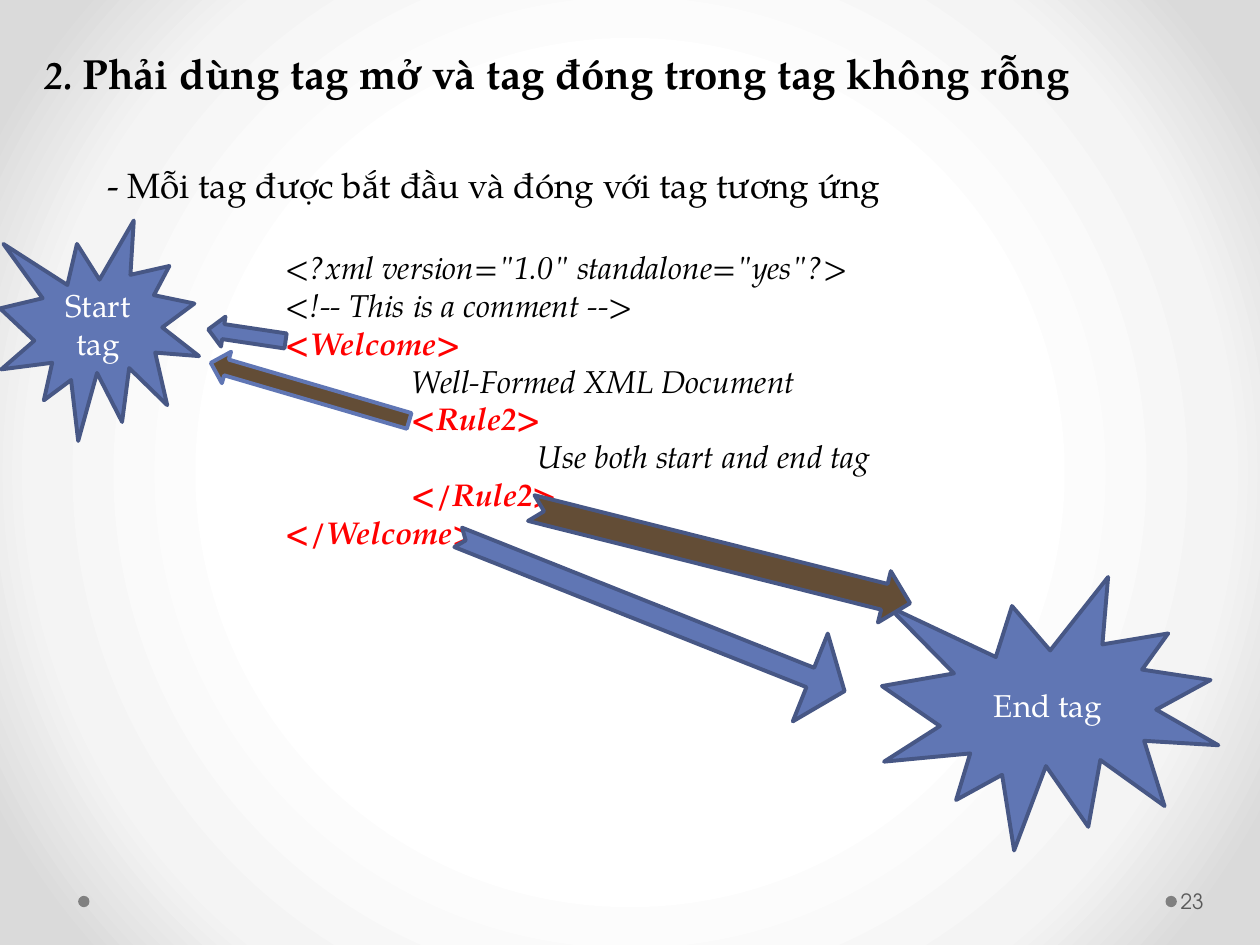
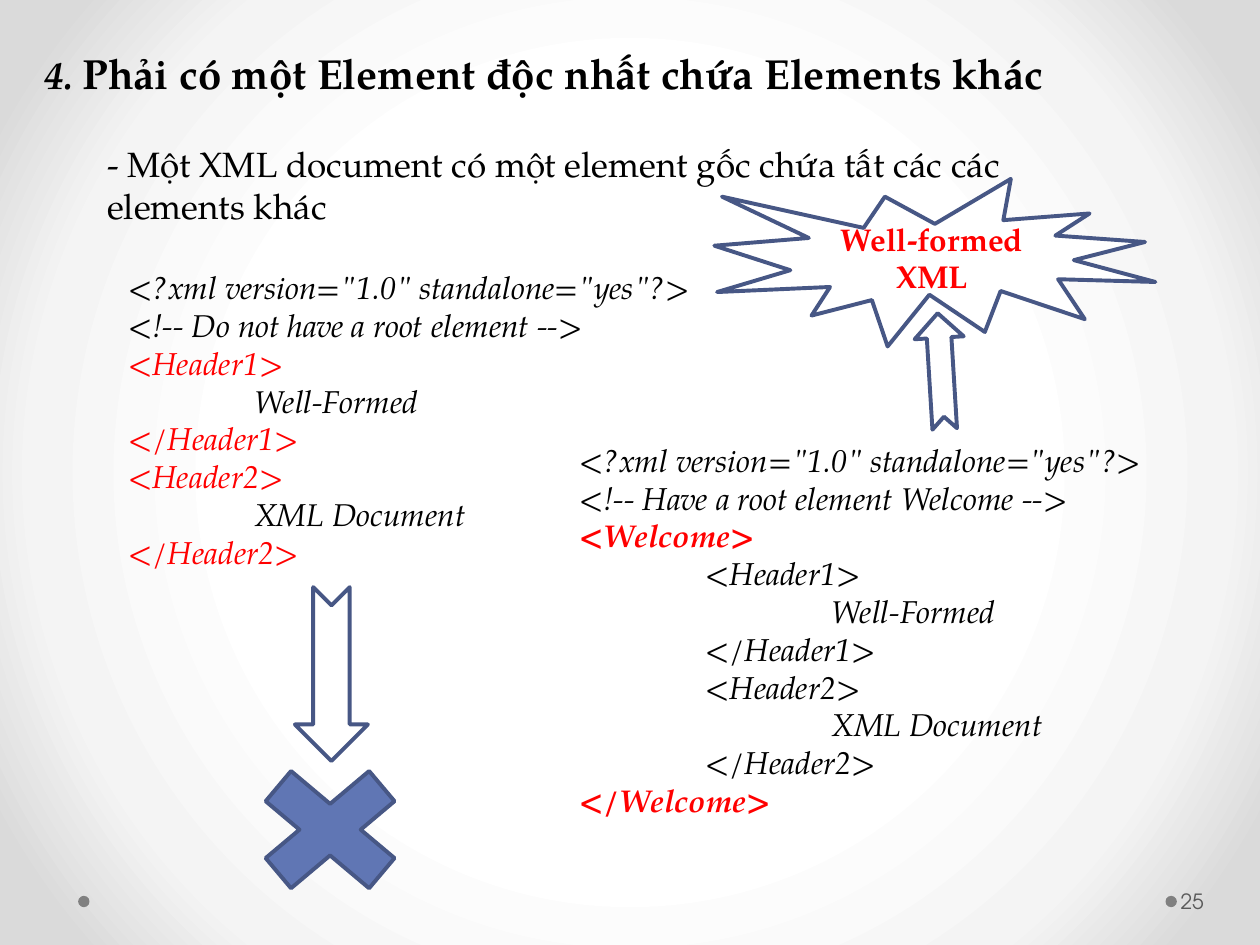
from pptx import Presentation
from pptx import oxml
from pptx.dml.color import RGBColor
from pptx.enum import shapes, text
from pptx.oxml import ns
from pptx.util import Inches, Pt

BLACK = RGBColor(0, 0, 0)
WHITE = RGBColor(255, 255, 255)
RED = RGBColor(255, 0, 0)
BLUE = RGBColor(0x60, 0x76, 0xB4)
NAVY = RGBColor(0x47, 0x57, 0x85)
BROWN = RGBColor(0x63, 0x4D, 0x36)
GRAY = RGBColor(0x80, 0x80, 0x80)
DARK = RGBColor(0x59, 0x59, 0x59)
SERIF = "TeX Gyre Pagella"
SANS = "TeX Gyre Adventor"
KIND = shapes.MSO_SHAPE
STOPS = ((50, "FFFFFF"), (76, "F4F4F4"), (92, "DADADA"))


class Deck:
    def __init__(self):
        self.file = Presentation()
        self.file.slide_width = Inches(10)
        self.file.slide_height = Inches(7.5)
        self.slide = None
        self.glow()

    def glow(self):
        master = self.file.slide_master
        master.background.fill.solid()
        back = master.element.find(".//" + ns.qn("p:bgPr"))
        stops = "".join(
            f'<a:gs pos="{pos * 1000}"><a:srgbClr val="{tone}"/></a:gs>'
            for pos, tone in STOPS)
        grad = oxml.parse_xml(
            f'<a:gradFill {ns.nsdecls("a")} rotWithShape="1">'
            f'<a:gsLst>{stops}</a:gsLst><a:path path="circle">'
            '<a:fillToRect l="50000" t="50000" r="50000" b="50000"/>'
            '</a:path></a:gradFill>')
        back.replace(back[0], grad)

    def font(self, item, size, color=BLACK, bold=False, slant=False, name=SERIF):
        font = item.font
        font.name, font.size = name, Pt(size)
        font.bold, font.italic = bold, slant
        font.color.rgb = color

    def place(self, shape, box):
        shape.left, shape.top, shape.width, shape.height = map(Inches, box)

    def frame(self, shape):
        frame = shape.text_frame
        frame.word_wrap = True
        frame.auto_size = text.MSO_AUTO_SIZE.NONE
        frame.vertical_anchor = text.MSO_ANCHOR.TOP
        return frame

    def box(self, box):
        return self.frame(self.slide.shapes.add_textbox(*map(Inches, box)))

    def page(self, number):
        layout = self.file.slide_layouts[1]
        self.slide = self.file.slides.add_slide(layout)
        for left in (9.25, 0.62):
            self.shape(KIND.OVAL, (left, 7.11, 0.09, 0.09), GRAY, None)
        frame = self.box((9.34, 6.95, 0.61, 0.4))
        frame.margin_left = Inches(0.03)
        frame.margin_right = Inches(0.05)
        frame.vertical_anchor = text.MSO_ANCHOR.MIDDLE
        frame.text = str(number)
        self.font(frame.paragraphs[0], 12, DARK, name=SANS)

    def title(self, mark, words, box):
        shape = self.slide.shapes.title
        self.place(shape, box)
        para = self.frame(shape).paragraphs[0]
        para.alignment = text.PP_ALIGN.LEFT
        for part, size, slant in ((mark, 22, True), (words, 24, False)):
            run = para.add_run()
            run.text = part
            self.font(run, size, bold=True, slant=slant)

    def body(self, words, box):
        shape = self.slide.placeholders[1]
        self.place(shape, box)
        frame = self.frame(shape)
        frame.text = words
        para = frame.paragraphs[0]
        para.space_before = Pt(0)
        props = para._p.get_or_add_pPr()
        props.set("marL", "0")
        props.set("indent", "0")
        props.append(oxml.parse_xml(f'<a:buNone {ns.nsdecls("a")}/>'))
        self.font(para, 20)

    def code(self, lines, tags, box, bold=True):
        frame = self.box(box)
        frame.text = "\n".join(lines)
        for para, line in zip(frame.paragraphs, lines):
            stops = "".join(f'<a:tab pos="{Inches(n)}" algn="l"/>' for n in (1, 2))
            para._p.get_or_add_pPr().append(oxml.parse_xml(
                f'<a:tabLst {ns.nsdecls("a")}>{stops}</a:tabLst>'))
            hit = line.strip("\t</>") in tags
            self.font(para, 18, RED if hit else BLACK, hit and bold, True)

    def shape(self, kind, box, fill=BLUE, line=NAVY, turn=0, adjust=()):
        shape = self.slide.shapes.add_shape(kind, *map(Inches, box))
        shape.shadow.inherit = False
        shape.rotation = turn
        for index, value in enumerate(adjust):
            shape.adjustments[index] = value
        shape.fill.solid()
        shape.fill.fore_color.rgb = fill
        if line is None:
            shape.line.fill.background()
        else:
            shape.line.color.rgb = line
            shape.line.width = Pt(2.25)
        return shape

    def burst(self, words, box, fill=BLUE, color=WHITE, bold=False):
        frame = self.frame(self.shape(KIND.EXPLOSION1, box, fill))
        frame.vertical_anchor = text.MSO_ANCHOR.MIDDLE
        frame.text = words
        para = frame.paragraphs[0]
        para.alignment = text.PP_ALIGN.CENTER
        self.font(para, 18, color, bold)


HEAD = '<?xml version="1.0" standalone="yes"?>'
NOTCH = KIND.NOTCHED_RIGHT_ARROW
deck = Deck()

deck.page(23)
deck.title("2. ", "Phải dùng tag mở và tag đóng trong tag không rỗng",
           (0.25, 0.33, 8.42, 0.5))
deck.body("- Mỗi tag được bắt đầu và đóng với tag tương ứng",
          (0.75, 1.25, 8.58, 0.44))
deck.code((HEAD, "<!-- This is a comment -->", "<Welcome>",
           "\tWell-Formed XML Document", "\t<Rule2>",
           "\t\tUse both start and end tag", "\t</Rule2>", "</Welcome>"),
          ("Welcome", "Rule2"), (2.17, 1.92, 6.17, 2.52))
deck.burst("Start tag", (0, 1.75, 1.58, 1.75))
deck.shape(KIND.RIGHT_ARROW, (1.64, 2.98, 1.64, 0.26), BROWN, BLUE, 196.3)
deck.shape(KIND.RIGHT_ARROW, (1.65, 2.54, 0.62, 0.24), turn=188.5)
deck.burst("End tag", (7, 4.58, 2.67, 2.17))
deck.shape(NOTCH, (4.17, 4.2, 3.1, 0.42), BROWN, turn=14.1)
deck.shape(NOTCH, (3.52, 4.5, 3.3, 0.75), turn=21.7, adjust=(0.22, 0.39))

deck.page(25)
deck.title("4. ", "Phải có một Element độc nhất chứa Elements khác",
           (0.25, 0.33, 8.92, 0.88))
deck.body("- Một XML document có một element gốc chứa tất các các elements khác",
          (0.75, 1.08, 8.17, 0.77))
deck.code((HEAD, "<!-- Do not have a root element -->",
           "<Header1>", "\tWell-Formed", "</Header1>",
           "<Header2>", "\tXML Document", "</Header2>"),
          ("Header1", "Header2"), (0.92, 2.08, 5, 2.52), bold=False)
deck.code((HEAD, "<!-- Have a root element Welcome -->", "<Welcome>",
           "\t<Header1>", "\t\tWell-Formed", "\t</Header1>",
           "\t<Header2>", "\t\tXML Document", "\t</Header2>", "</Welcome>"),
          ("Welcome",), (4.5, 3.45, 5, 3.13))
deck.shape(NOTCH, (1.94, 5.06, 1.38, 0.58), WHITE, turn=90)
deck.burst("Well-formed XML", (5.67, 1.42, 3.5, 1.33), WHITE, RED, True)
deck.shape(NOTCH, (7.01, 2.75, 0.92, 0.39), WHITE, turn=266.5)
deck.shape(KIND.MATH_MULTIPLY, (1.83, 5.92, 1.58, 1.33))

deck.file.save("out.pptx")
